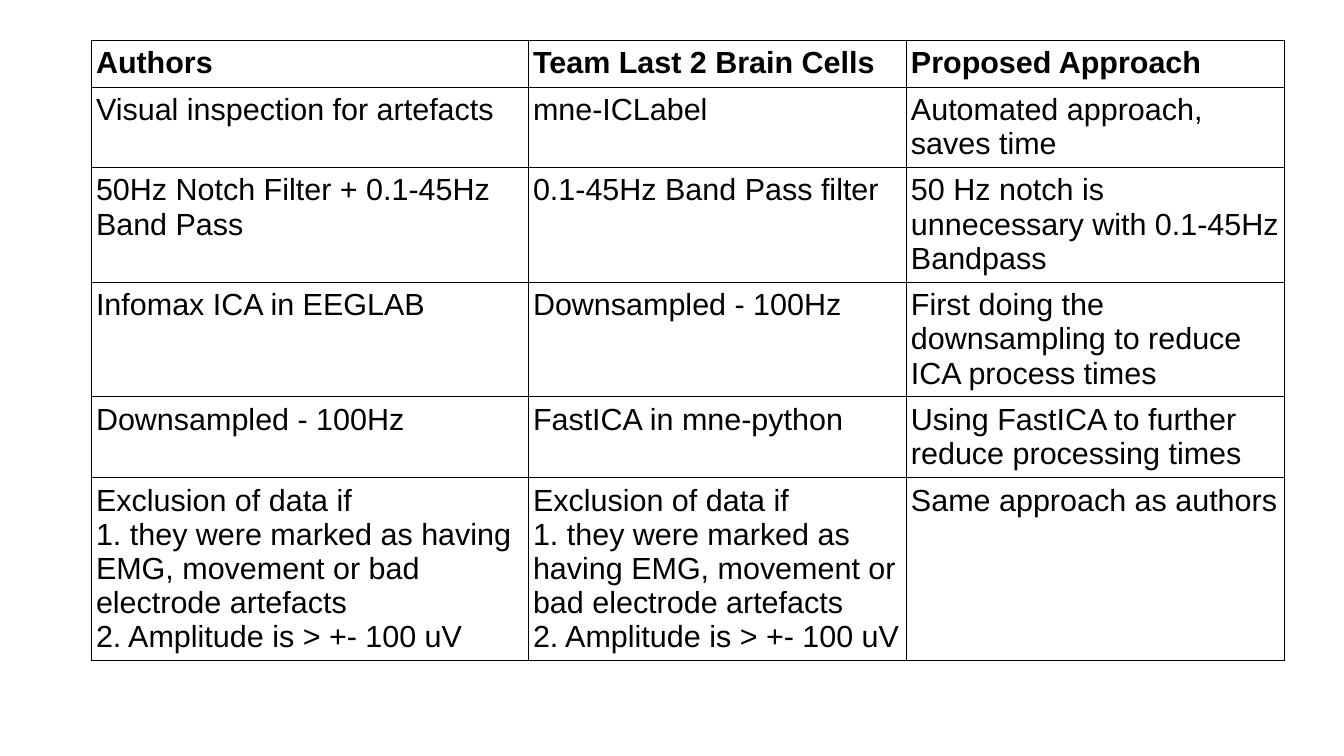
import lxml.etree
import pptx
import pptx.dml.color
import pptx.oxml.ns
import pptx.util
from dataclasses import dataclass

PX = 914400 // 122


@dataclass(frozen=True)
class Theme:
    font: str = "Arial"
    size: int = 18
    ink: str = "000000"
    border_pt: float = 0.57


THEME = Theme()
COLUMNS = [437, 378, 378]
ROWS = [47, 80, 115, 114, 81, 183]
EXCLUSION = "\n".join([
    "Exclusion of data if",
    "1. they were marked as having EMG, movement or bad electrode artefacts",
    "2. Amplitude is > +- 100 uV",
])
COMPARISON = [
    ["Authors", "Team Last 2 Brain Cells", "Proposed Approach"],
    ["Visual inspection for artefacts", "mne-ICLabel",
     "Automated approach, saves time"],
    ["50Hz Notch Filter + 0.1-45Hz Band Pass", "0.1-45Hz Band Pass filter",
     "50 Hz notch is unnecessary with 0.1-45Hz Bandpass"],
    ["Infomax ICA in EEGLAB", "Downsampled - 100Hz",
     "First doing the downsampling to reduce ICA process times"],
    ["Downsampled - 100Hz", "FastICA in mne-python",
     "Using FastICA to further reduce processing times"],
    [EXCLUSION, EXCLUSION, "Same approach as authors"],
]


def px(n):
    return pptx.util.Emu(n * PX)


def set_borders(cell):
    qn = pptx.oxml.ns.qn
    tcPr = cell._tc.get_or_add_tcPr()
    for side in ("lnL", "lnR", "lnT", "lnB"):
        ln = lxml.etree.SubElement(tcPr, qn(f"a:{side}"))
        ln.set("w", str(int(pptx.util.Pt(THEME.border_pt))))
        fill = lxml.etree.SubElement(ln, qn("a:solidFill"))
        lxml.etree.SubElement(fill, qn("a:srgbClr")).set("val", THEME.ink)


def write_cell(cell, text, bold):
    cell.margin_left = px(5)
    cell.margin_right = px(4)
    cell.margin_top = cell.margin_bottom = px(6)
    set_borders(cell)
    cell.fill.background()
    cell.text_frame.text = text
    for p in cell.text_frame.paragraphs:
        for r in p.runs:
            r.font.name = THEME.font
            r.font.size = pptx.util.Pt(THEME.size)
            r.font.bold = bold
            r.font.color.rgb = pptx.dml.color.RGBColor.from_string(THEME.ink)


def add_grid(slide, left, top, columns, rows, content):
    table = slide.shapes.add_table(
        len(rows), len(columns), px(left), px(top),
        px(sum(columns)), px(sum(rows))).table
    table.first_row = table.horz_banding = False
    for column, width in zip(table.columns, columns):
        column.width = px(width)
    for i, (row, height) in enumerate(zip(table.rows, rows)):
        row.height = px(height)
        for cell, text in zip(row.cells, content[i]):
            write_cell(cell, text, bold=i == 0)


def main():
    prs = pptx.Presentation()
    prs.slide_width, prs.slide_height = px(1344), px(756)
    slide = prs.slides.add_slide(prs.slide_layouts[6])
    add_grid(slide, 91, 40, COLUMNS, ROWS, COMPARISON)
    prs.save("out.pptx")


if __name__ == "__main__":
    main()
